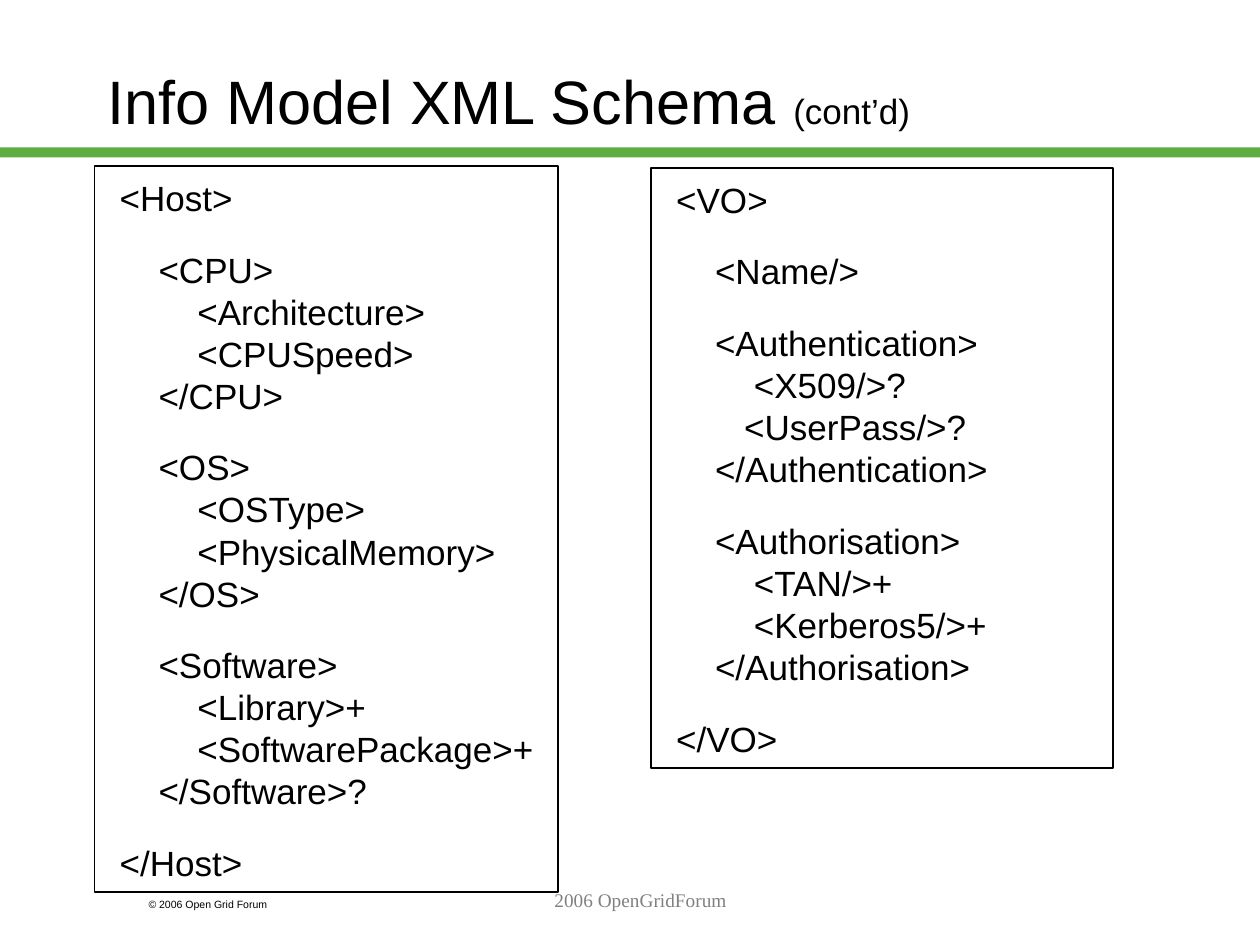
"""Build the slide that sets the Host and VO schema outlines side by side."""
from dataclasses import dataclass

from pptx import Presentation
from pptx.dml.color import RGBColor
from pptx.enum.shapes import MSO_SHAPE as Preset
from pptx.enum.text import MSO_ANCHOR as Anchor, MSO_AUTO_SIZE as AutoSize, PP_ALIGN as Align
from pptx.util import Pt

BLACK = RGBColor(0x00, 0x00, 0x00)
GREY = RGBColor(0x80, 0x80, 0x80)
GREEN = RGBColor(0x5D, 0xAD, 0x41)


@dataclass(frozen=True)
class Box:
    left: float
    top: float
    width: float
    height: float

    def lengths(self) -> tuple:
        return tuple(Pt(n) for n in (self.left, self.top, self.width, self.height))


@dataclass(frozen=True)
class Outline:
    box: Box
    groups: tuple[str, ...]


@dataclass(frozen=True)
class Footer:
    box: Box
    text: str
    size: float
    font: str
    colour: RGBColor
    align: Align


OUTLINES = (
    Outline(Box(54, 95, 265, 414.7), (
        "<Host>",
        "    <CPU>\n        <Architecture>\n        <CPUSpeed>\n    </CPU>",
        "    <OS>\n        <OSType>\n        <PhysicalMemory>\n    </OS>",
        "    <Software>\n        <Library>+\n        <SoftwarePackage>+\n    </Software>?",
        "</Host>",
    )),
    Outline(Box(372, 96, 264, 342.7), (
        "<VO>",
        "    <Name/>",
        "    <Authentication>\n        <X509/>?\n       <UserPass/>?\n    </Authentication>",
        "    <Authorisation>\n        <TAN/>+\n        <Kerberos5/>+\n    </Authorisation>",
        "</VO>",
    )),
)
FOOTERS = (
    Footer(Box(77.8, 509.8, 108, 14.4), "© 2006 Open Grid Forum", 6, "Arial", BLACK, Align.LEFT),
    Footer(Box(156, 504, 420, 36), "2006 OpenGridForum", 11, "Times New Roman", GREY, Align.CENTER),
)


def apply(target, values: dict) -> None:
    for name, value in values.items():
        setattr(target, name, value)


def add_run(paragraph, text: str, size: float, font: str = "Arial", colour: RGBColor = BLACK) -> None:
    run = paragraph.add_run()
    run.text = text
    apply(run.font, {"size": Pt(size), "name": font})
    run.font.color.rgb = colour


def format_frame(frame, anchor: Anchor, side: float, edge: float, right: float) -> None:
    apply(frame, {
        "word_wrap": True, "auto_size": AutoSize.NONE, "vertical_anchor": anchor,
        "margin_left": Pt(side), "margin_right": Pt(right),
        "margin_top": Pt(edge), "margin_bottom": Pt(edge),
    })


def write_title(title) -> None:
    apply(title, dict(zip(("left", "top", "width", "height"), Box(54, 12.2, 612, 90).lengths())))
    format_frame(title.text_frame, Anchor.MIDDLE, 7.2, 3.6, 7.2)
    heading = title.text_frame.paragraphs[0]
    heading.alignment = Align.LEFT
    add_run(heading, "Info Model XML Schema ", 35)
    add_run(heading, "(cont’d)", 20)


def draw_rule(shapes) -> None:
    rule = shapes.add_shape(Preset.RECTANGLE, *Box(0, 84.2, 720, 5.8).lengths())
    rule.shadow.inherit = False
    rule.fill.solid()
    rule.fill.fore_color.rgb = GREEN
    rule.line.fill.background()


def draw_outline(shapes, outline: Outline) -> None:
    panel = shapes.add_shape(Preset.RECTANGLE, *outline.box.lengths())
    panel.shadow.inherit = False
    panel.fill.background()
    panel.line.color.rgb = BLACK
    panel.line.width = Pt(1)
    frame = panel.text_frame
    format_frame(frame, Anchor.TOP, 14.4, 5.8, 7.2)
    for group_index, group in enumerate(outline.groups):
        for line_index, tag in enumerate(group.split("\n")):
            opens_panel = group_index == line_index == 0
            opens_group = line_index == 0 and not opens_panel
            paragraph = frame.paragraphs[0] if opens_panel else frame.add_paragraph()
            apply(paragraph, {
                "alignment": Align.LEFT, "line_spacing": Pt(24),
                "space_before": Pt(17 if opens_group else 0),
            })
            add_run(paragraph, tag, 20)


def draw_footer(shapes, footer: Footer) -> None:
    frame = shapes.add_textbox(*footer.box.lengths()).text_frame
    format_frame(frame, Anchor.TOP, 7.2, 3.6, 7.2)
    frame.paragraphs[0].alignment = footer.align
    add_run(frame.paragraphs[0], footer.text, footer.size, footer.font, footer.colour)


def main() -> None:
    deck = Presentation()
    apply(deck, {"slide_width": Pt(720), "slide_height": Pt(540)})
    shapes = deck.slides.add_slide(deck.slide_layouts[5]).shapes
    write_title(shapes.title)
    draw_rule(shapes)
    for outline in OUTLINES:
        draw_outline(shapes, outline)
    for footer in FOOTERS:
        draw_footer(shapes, footer)
    deck.save("out.pptx")


if __name__ == "__main__":
    main()
